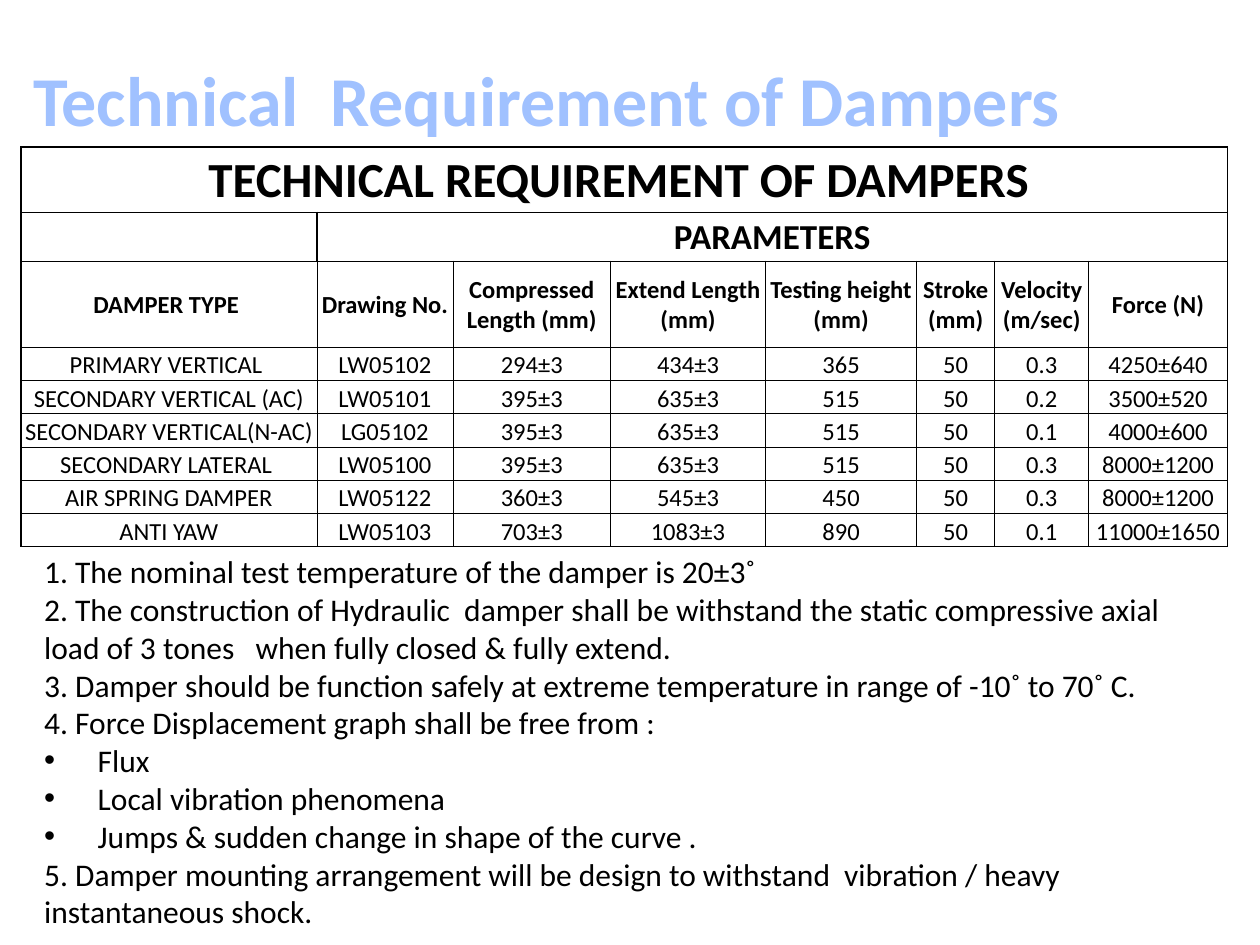
import lxml.etree
import pptx
import pptx.dml.color
import pptx.enum.text
import pptx.oxml.ns
import pptx.util

Cm = pptx.util.Cm
Pt = pptx.util.Pt
ALIGN = pptx.enum.text.PP_ALIGN
ANCHOR = pptx.enum.text.MSO_ANCHOR
AUTO_SIZE = pptx.enum.text.MSO_AUTO_SIZE

COLORS = {"ink": "000000", "pale": "BFD3F9", "sky": "A0C1FF", "navy": "003D85"}
TITLE_STOPS = [(0, "pale"), (9, "sky"), (50, "navy"), (79, "sky"), (100, "pale")]
FONT = "Calibri"
COLUMN_WIDTHS = [5.97, 2.74, 3.18, 3.12, 3.05, 1.57, 1.9, 2.79]
ROW_HEIGHTS = [1.32, 0.99, 1.73] + [0.67] * 6
HEADING_SIZES = [28, 20, 14]
CELL_FORMAT = {
    "margin_left": Cm(0.03), "margin_right": Cm(0.03),
    "margin_top": Cm(0.03), "margin_bottom": 0,
}
FRAME_FORMAT = {
    "word_wrap": True, "auto_size": AUTO_SIZE.NONE,
    "margin_left": Cm(0.25), "margin_right": Cm(0.25),
    "margin_top": Cm(0.13), "margin_bottom": Cm(0.13),
}
TABLE_ROWS = [
    ["TECHNICAL REQUIREMENT OF DAMPERS "],
    ["", "PARAMETERS"],
    ["DAMPER TYPE ", "Drawing No.", "Compressed Length (mm)", "Extend Length (mm)",
     "Testing height (mm)", "Stroke (mm)", "Velocity (m/sec)", "Force (N)"],
    ["PRIMARY VERTICAL ", "LW05102", "294±3", "434±3", "365", "50", "0.3", "4250±640"],
    ["SECONDARY VERTICAL (AC)", "LW05101", "395±3", "635±3", "515", "50", "0.2", "3500±520"],
    ["SECONDARY VERTICAL(N-AC)", "LG05102", "395±3", "635±3", "515", "50", "0.1", "4000±600"],
    ["SECONDARY LATERAL ", "LW05100", "395±3", "635±3", "515", "50", "0.3", "8000±1200"],
    ["AIR SPRING DAMPER", "LW05122", "360±3", "545±3", "450", "50", "0.3", "8000±1200"],
    ["ANTI YAW", "LW05103", "703±3", "1083±3", "890", "50", "0.1", "11000±1650"],
]
NOTES = [
    ("1. The nominal test temperature of the damper is 20±3˚", False),
    ("2. The construction of Hydraulic  damper shall be withstand the static compressive "
     "axial load of 3 tones   when fully closed & fully extend.", False),
    ("3. Damper should be function safely at extreme temperature in range of "
     "-10˚ to 70˚ C.", False),
    ("4. Force Displacement graph shall be free from :", False),
    ("Flux", True),
    ("Local vibration phenomena", True),
    ("Jumps & sudden change in shape of the curve .", True),
    ("5. Damper mounting arrangement will be design to withstand  vibration / heavy "
     "instantaneous shock.", False),
]


def add_element(parent, tag, **attributes):
    """Append a drawing element with the given attributes."""
    return lxml.etree.SubElement(parent, pptx.oxml.ns.qn(tag), attributes)


def apply_format(target, values):
    """Set each named attribute on the target."""
    for name, value in values.items():
        setattr(target, name, value)


def write_run(paragraph, text, size, bold=False):
    """Add a run in the slide font and ink colour."""
    run = paragraph.add_run()
    run.text = text
    apply_format(run.font, {"name": FONT, "size": Pt(size), "bold": bold})
    run.font.color.rgb = pptx.dml.color.RGBColor.from_string(COLORS["ink"])
    return run


def place(shape, box):
    """Move a placeholder to a box and give its frame the common format."""
    lengths = [Cm(length) for length in box]
    apply_format(shape, dict(zip(("left", "top", "width", "height"), lengths)))
    apply_format(shape.text_frame, FRAME_FORMAT)


def build_title(slide, box):
    """Fill the title placeholder with gradient lettering."""
    title = slide.shapes.title
    place(title, box)
    title.text_frame.vertical_anchor = ANCHOR.TOP
    paragraph = title.text_frame.paragraphs[0]
    paragraph.alignment = ALIGN.LEFT
    run = write_run(paragraph, "Technical  Requirement of Dampers", 40, True)
    run.font.fill.gradient()
    run.font.fill.gradient_angle = 270
    stops = run.font._element.find(".//" + pptx.oxml.ns.qn("a:gsLst"))
    for stop in list(stops):
        stops.remove(stop)
    for position, color in TITLE_STOPS:
        stop = add_element(stops, "a:gs", pos=str(position * 1000))
        add_element(stop, "a:srgbClr", val=COLORS[color])


def set_borders(cell, thick_sides):
    """Draw all four cell borders, thicker on the named sides."""
    properties = cell._tc.get_or_add_tcPr()
    for side in "LRTB":
        width = Pt(1 if side in thick_sides else 0.5)
        line = add_element(properties, "a:ln" + side, w=str(width))
        fill = add_element(line, "a:solidFill")
        add_element(fill, "a:srgbClr", val=COLORS["ink"])


def build_table(slide, box):
    """Add the damper table with its merged headings."""
    left, top = box
    row_count, column_count = len(ROW_HEIGHTS), len(COLUMN_WIDTHS)
    table = slide.shapes.add_table(
        row_count, column_count, Cm(left), Cm(top),
        Cm(sum(COLUMN_WIDTHS)), Cm(sum(ROW_HEIGHTS))).table
    apply_format(table, {"first_row": False, "horz_banding": False})
    for column, width in zip(table.columns, COLUMN_WIDTHS):
        column.width = Cm(width)
    for row, height in zip(table.rows, ROW_HEIGHTS):
        row.height = Cm(height)
    for row in range(row_count):
        is_heading = row < len(HEADING_SIZES)
        for column in range(column_count):
            cell = table.cell(row, column)
            apply_format(cell, CELL_FORMAT)
            cell.vertical_anchor = ANCHOR.MIDDLE if is_heading else ANCHOR.BOTTOM
            thick = {"L": row < 2 or column == 0, "R": row < 2 or column == column_count - 1,
                     "T": row <= 2, "B": row < 2 or row == row_count - 1}
            set_borders(cell, [side for side in thick if thick[side]])
            cell.fill.background()
        for column, text in enumerate(TABLE_ROWS[row]):
            paragraph = table.cell(row, column).text_frame.paragraphs[0]
            paragraph.alignment = ALIGN.CENTER
            if text:
                write_run(paragraph, text, HEADING_SIZES[row] if is_heading else 14, is_heading)
    for row in range(2):
        table.cell(row, row).merge(table.cell(row, column_count - 1))


def build_notes(slide, box):
    """Fill the body placeholder with the numbered and bulleted notes."""
    body = slide.placeholders[1]
    place(body, box)
    frame = body.text_frame
    for index, (text, is_bullet) in enumerate(NOTES):
        paragraph = frame.add_paragraph() if index else frame.paragraphs[0]
        apply_format(paragraph, {"space_before": Pt(0), "alignment": ALIGN.LEFT})
        properties = paragraph._p.get_or_add_pPr()
        indent = Cm(1.08) if is_bullet else 0
        properties.set("marL", str(indent))
        properties.set("indent", str(-indent))
        if is_bullet:
            add_element(properties, "a:buFont", typeface="Arial")
            add_element(properties, "a:buChar", char="•")
        else:
            add_element(properties, "a:buNone")
        write_run(paragraph, text, 18)


def main():
    """Build and save the damper requirements slide."""
    presentation = pptx.Presentation()
    apply_format(presentation, {"slide_width": Cm(25.4), "slide_height": Cm(19.05)})
    slide = presentation.slides.add_slide(presentation.slide_layouts[1])
    build_title(slide, (0.42, 1, 21.4, 1.97))
    build_table(slide, (0.42, 2.96))
    build_notes(slide, (0.64, 11, 23.5, 8.72))
    presentation.save("out.pptx")


if __name__ == "__main__":
    main()
